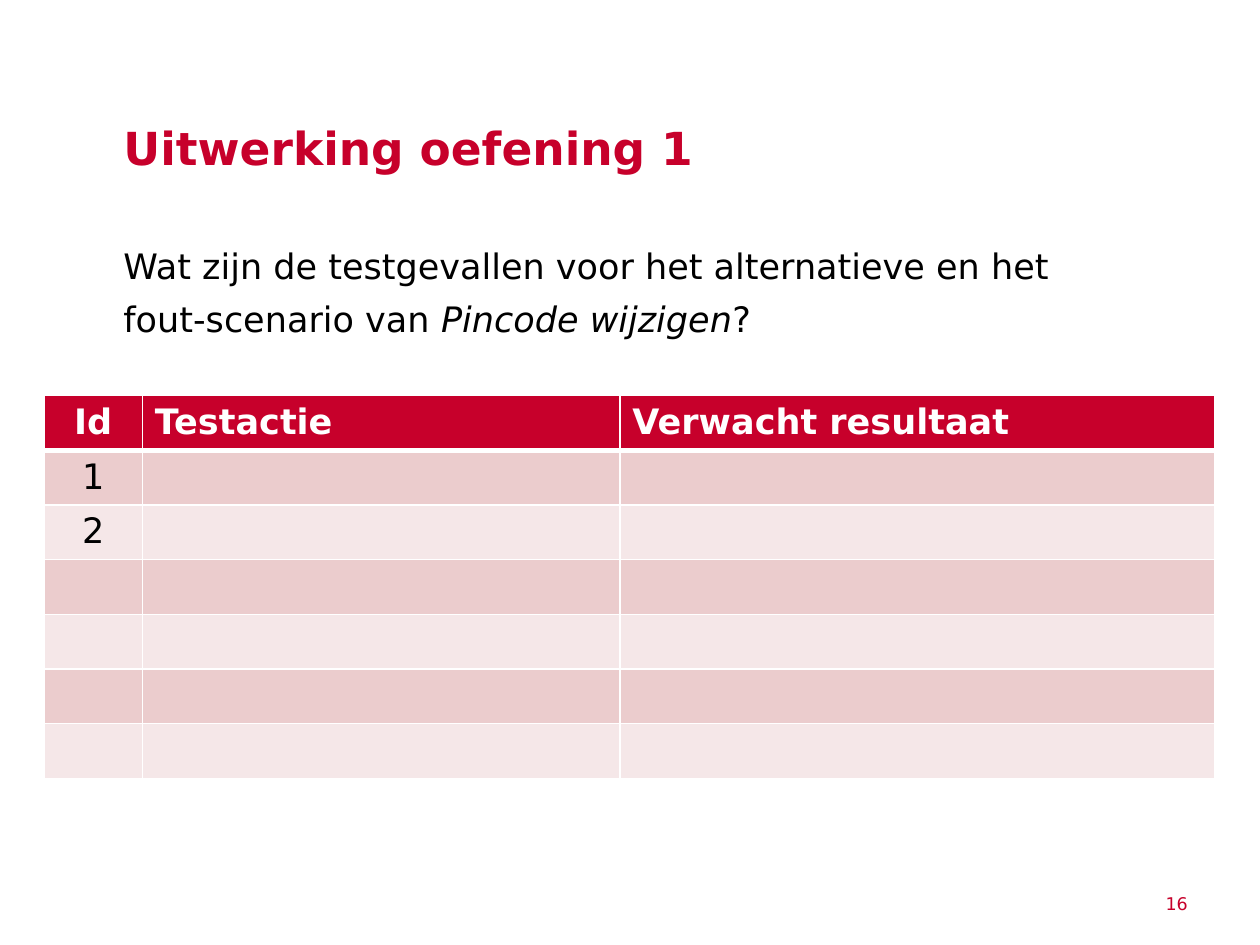
from lxml import etree
from pptx import Presentation
from pptx import util as u
from pptx.dml.color import RGBColor
from pptx.enum import text
from pptx.oxml.ns import qn

FACE = "DejaVu Sans"
RED, BLACK, WHITE = "C7002B", "000000", "FFFFFF"
BANDS = ["F5E7E8", "EBCCCD"]


def color(code):
    return RGBColor.from_string(code)


def style(para, size, code, bold=False):
    font = para.font
    font.name, font.size, font.bold = FACE, u.Pt(size), bold
    font.color.rgb = color(code)


def label(slide, box, parts, size, code, gap, bold=False):
    frame = slide.shapes.add_textbox(*map(u.Inches, box)).text_frame
    frame.word_wrap = True
    frame.margin_left = frame.margin_right = 0
    frame.margin_top = frame.margin_bottom = 0
    para = frame.paragraphs[0]
    para.line_spacing = gap
    style(para, size, code, bold)
    for words, slant in parts:
        run = para.add_run()
        run.text = words
        if slant:
            run.font.italic = True


def border(cell, low):
    props = cell._tc.get_or_add_tcPr()
    for side, width in zip("LRTB", (1, 1, 1, low)):
        line = etree.SubElement(props, qn(f"a:ln{side}"), w=str(u.Pt(width)))
        fill = etree.SubElement(line, qn("a:solidFill"))
        etree.SubElement(fill, qn("a:srgbClr"), val=WHITE)


def grid(slide, box, cols, rows):
    shape = slide.shapes.add_table(len(rows), len(cols), *map(u.Inches, box))
    table = shape.table
    for col, width in zip(table.columns, cols):
        col.width = u.Inches(width)
    for i, row in enumerate(rows):
        table.rows[i].height = u.Inches(box[3] / len(rows))
        head = i == 0
        for j, words in enumerate(row):
            cell = table.cell(i, j)
            border(cell, 3 if i < 1 else 1)
            cell.fill.solid()
            cell.fill.fore_color.rgb = color(RED if head else BANDS[i % 2])
            cell.text = words
            para = cell.text_frame.paragraphs[0]
            style(para, 20, WHITE if head else BLACK, head)
            if j == 0:
                para.alignment = text.PP_ALIGN.CENTER


def main():
    deck = Presentation()
    deck.slide_width, deck.slide_height = u.Inches(10), u.Inches(7.5)
    slide = deck.slides.add_slide(deck.slide_layouts[6])
    label(slide, (0.98, 1, 8.03, 0.39), [("Uitwerking oefening 1", False)],
          26, RED, u.Pt(28), True)
    label(slide, (0.98, 1.86, 8.03, 5.04), [
        ("Wat zijn de testgevallen voor het alternatieve en het "
         "fout-scenario van ", False),
        ("Pincode wijzigen", True),
        ("?", False),
    ], 20, BLACK, 1.25)
    label(slide, (9.25, 7.03, 0.79, 0.2), [("16", False)], 10, RED, u.Pt(16))
    rows = [["Id", "Testactie", "Verwacht resultaat"]]
    rows += [[mark, "", ""] for mark in ("1", "2", "", "", "", "")]
    grid(slide, (0.35, 3.14, 9.29, 2.96), (0.78, 3.79, 4.72), rows)
    deck.save("out.pptx")


if __name__ == "__main__":
    main()
